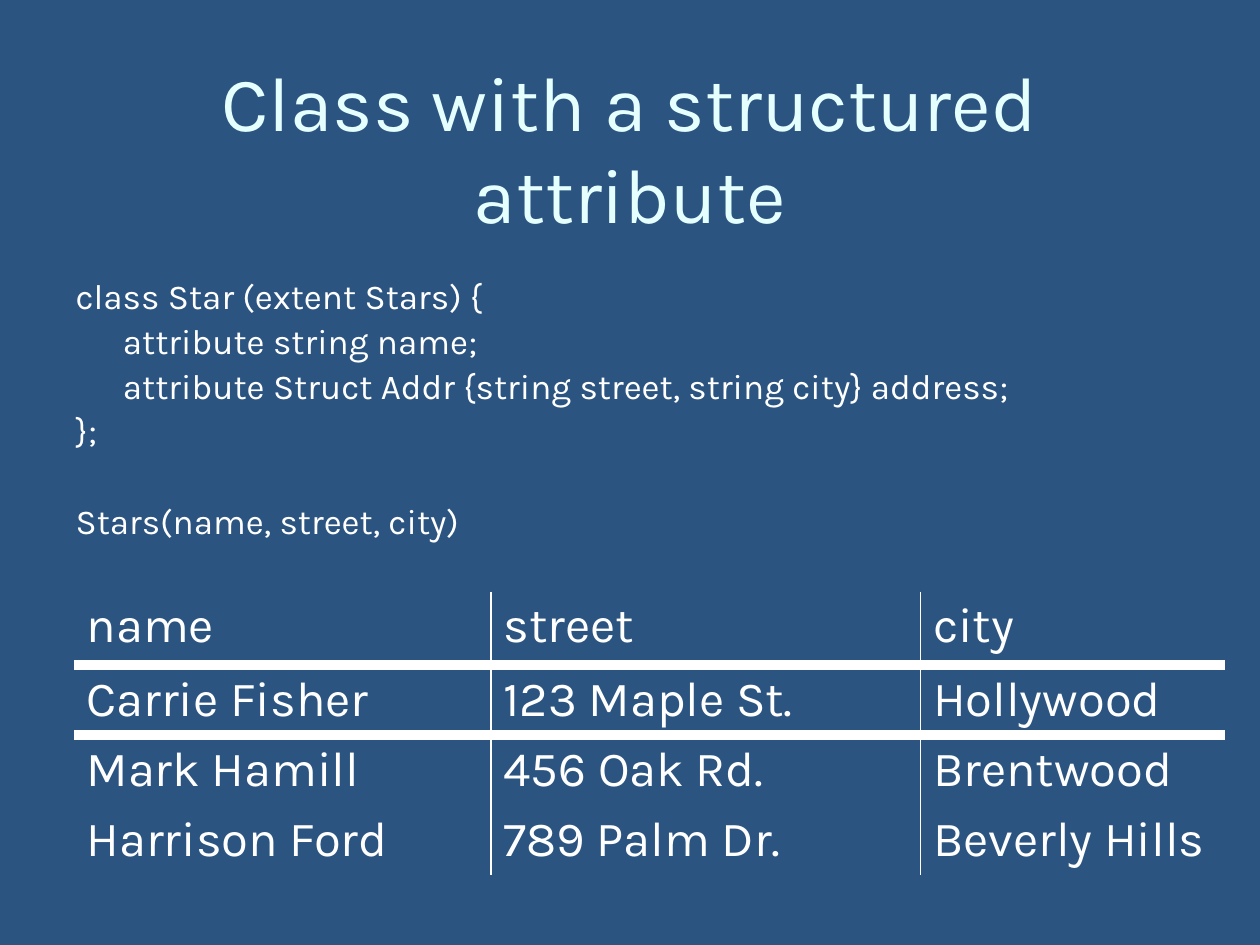
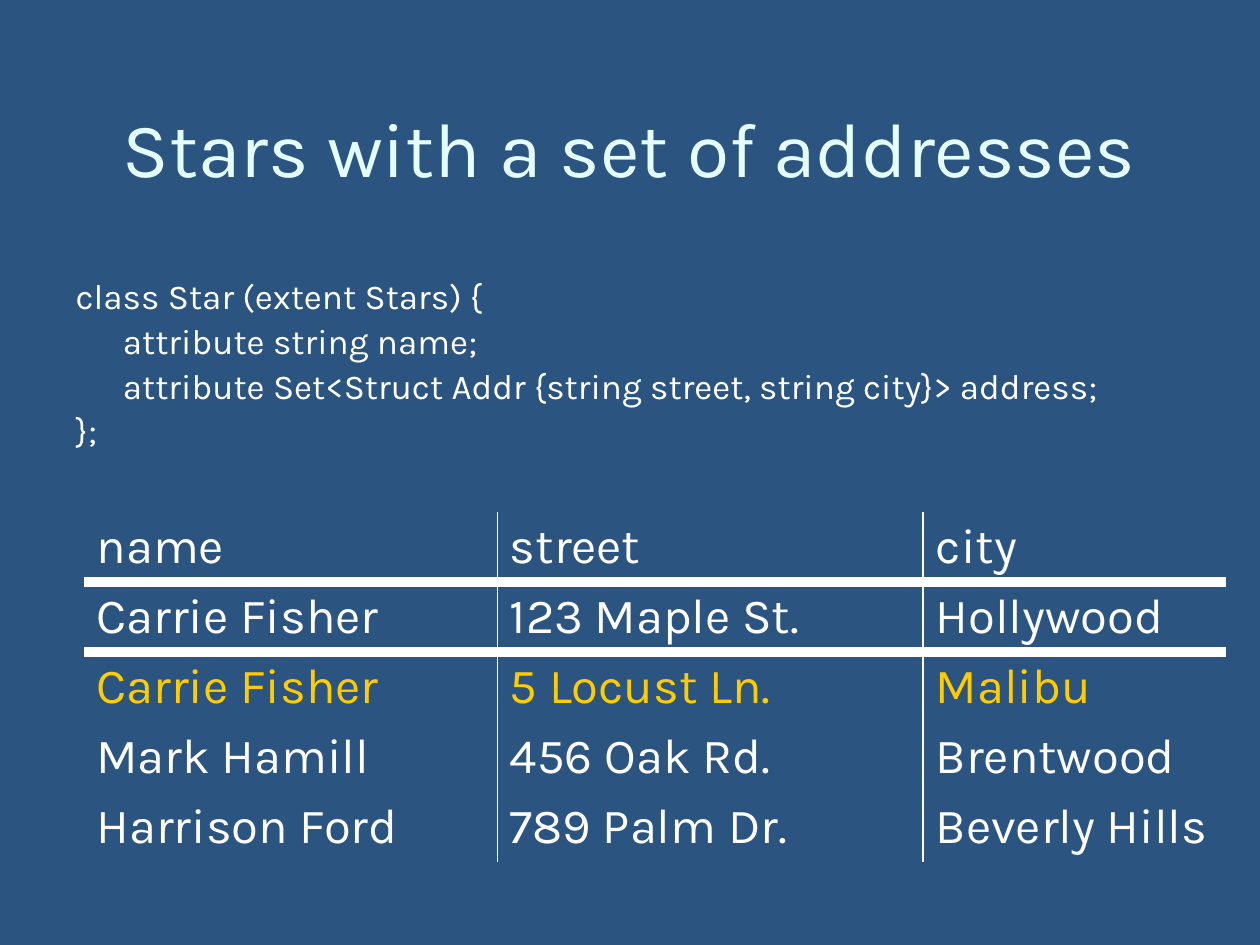
from dataclasses import dataclass
from typing import Any, Optional

from lxml import etree
from pptx import Presentation
from pptx.dml.color import RGBColor
from pptx.enum.text import MSO_ANCHOR, MSO_AUTO_SIZE, PP_ALIGN
from pptx.oxml.ns import qn
from pptx.util import Pt

CENTER = PP_ALIGN.CENTER
TOP, MIDDLE = MSO_ANCHOR.TOP, MSO_ANCHOR.MIDDLE
NO_FIT = MSO_AUTO_SIZE.NONE
NO_GRID_STYLE = "{2D5ABB26-0587-4C30-8999-92F81FD0307C}"


@dataclass(frozen=True)
class Theme:
    """Colours, font, type sizes and line widths of the deck."""
    font: str = "Karla"
    background: str = "2B5481"
    title: str = "E5FFFF"
    text: str = "FFFFFF"
    highlight: str = "FFCC00"
    title_size: float = 44
    code_size: float = 20
    table_size: float = 28
    thin: float = 1
    thick: float = 6
    indent: float = 27
    section_gap: float = 30.4
    row_height: float = 40


@dataclass(frozen=True)
class Box:
    """A place on the slide, in points."""
    left: float
    top: float
    width: float
    height: float


@dataclass(frozen=True)
class Code:
    """A line of a class definition."""
    text: str
    indented: bool = False
    new_section: bool = False


@dataclass(frozen=True)
class Relation:
    """A table of tuples, with one row optionally highlighted."""
    left: float
    top: float
    widths: tuple[float, ...]
    header_height: float
    rows: tuple[tuple[str, ...], ...]
    highlighted: Optional[int] = None


@dataclass(frozen=True)
class Page:
    """The content of one slide."""
    title: str
    code_box: Box
    code: tuple[Code, ...]
    relation: Relation


THEME = Theme()
TITLE_BOX = Box(36, 30, 648, 108)
HEADER = ("name", "street", "city")
FISHER = ("Carrie Fisher", "123 Maple St.", "Hollywood")
FISHER_SECOND = ("Carrie Fisher", "5 Locust Ln.", "Malibu")
HAMILL = ("Mark Hamill", "456 Oak Rd.", "Brentwood")
FORD = ("Harrison Ford", "789 Palm Dr.", "Beverly Hills")


def star_class(address_type: str) -> tuple[Code, ...]:
    """Return the Star class with the given type of address."""
    return (
        Code("class Star (extent Stars) {"),
        Code("attribute string name;", indented=True),
        Code(f"attribute {address_type} address;", indented=True),
        Code("};"),
    )


PAGES = (
    Page(
        "Class with a structured attribute",
        Box(36, 156, 670, 165),
        star_class("Struct Addr {string street, string city}")
        + (Code("Stars(name, street, city)", new_section=True),),
        Relation(42.3, 338, (238.3, 245.5, 174.2), 42,
                 (HEADER, FISHER, HAMILL, FORD)),
    ),
    Page(
        "Stars with a set of addresses",
        Box(36, 156, 684, 114),
        star_class("Set<Struct Addr {string street, string city}>"),
        Relation(48, 292.5, (236.2, 243.4, 172.8), THEME.row_height,
                 (HEADER, FISHER, FISHER_SECOND, HAMILL, FORD), highlighted=2),
    ),
)


def style_runs(p: Any, size: float, color: str) -> None:
    """Give all runs of a paragraph the deck font, a size and a colour."""
    for r in p.runs:
        r.font.name = THEME.font
        r.font.size = Pt(size)
        r.font.color.rgb = RGBColor.from_string(color)


def place(sp: Any, box: Box, anchor: MSO_ANCHOR) -> Any:
    """Move a placeholder and return its prepared text frame."""
    sp.left, sp.top = Pt(box.left), Pt(box.top)
    sp.width, sp.height = Pt(box.width), Pt(box.height)
    tf = sp.text_frame
    tf.word_wrap = True
    tf.auto_size = NO_FIT
    tf.vertical_anchor = anchor
    return tf


def add_title(s: Any, text: str) -> None:
    """Fill the title placeholder."""
    tf = place(s.shapes.title, TITLE_BOX, MIDDLE)
    tf.text = text
    p = tf.paragraphs[0]
    p.alignment = CENTER
    style_runs(p, THEME.title_size, THEME.title)


def add_code(s: Any, box: Box, lines: tuple[Code, ...]) -> None:
    """Fill the body placeholder with unbulleted code lines."""
    tf = place(s.placeholders[1], box, TOP)
    tf.text = "\n".join(line.text for line in lines)
    for p, line in zip(tf.paragraphs, lines):
        p.line_spacing = 0.9
        if line.new_section:
            p.space_before = Pt(THEME.section_gap)
        pPr = p._p.get_or_add_pPr()
        pPr.set("marL", str(Pt(THEME.indent if line.indented else 0)))
        pPr.set("indent", "0")
        etree.SubElement(pPr, qn("a:buNone"))
        style_runs(p, THEME.code_size, THEME.text)


def add_border(cell: Any, side: str, width: float) -> None:
    """Draw one side (L, R, T or B) of a table cell."""
    tcPr = cell._tc.get_or_add_tcPr()
    ln = etree.SubElement(tcPr, qn(f"a:ln{side}"), w=str(Pt(width)))
    fill = etree.SubElement(ln, qn("a:solidFill"))
    etree.SubElement(fill, qn("a:srgbClr"), val=THEME.text)


def add_relation(s: Any, relation: Relation) -> None:
    """Add a table with a thick header rule and thin column rules."""
    rows, widths = relation.rows, relation.widths
    heights = [relation.header_height] + [THEME.row_height] * (len(rows) - 1)
    frame = s.shapes.add_table(
        len(rows), len(widths), Pt(relation.left), Pt(relation.top),
        Pt(sum(widths)), Pt(sum(heights)))
    frame._element.xpath(".//a:tableStyleId")[0].text = NO_GRID_STYLE
    table = frame.table
    table.horz_banding = False
    for column, width in zip(table.columns, widths):
        column.width = Pt(width)
    for i, (values, height) in enumerate(zip(rows, heights)):
        table.rows[i].height = Pt(height)
        color = THEME.highlight if i == relation.highlighted else THEME.text
        for j, value in enumerate(values):
            cell = table.cell(i, j)
            cell.text = value
            style_runs(cell.text_frame.paragraphs[0], THEME.table_size, color)
            if j > 0:
                add_border(cell, "L", THEME.thin)
            if j < len(widths) - 1:
                add_border(cell, "R", THEME.thin)
            if i == 1:
                add_border(cell, "T", THEME.thick)
            if i == 0:
                add_border(cell, "B", THEME.thick)
            cell.fill.background()


def add_page(prs: Any, page: Page) -> None:
    """Add one slide with title, code and table."""
    s = prs.slides.add_slide(prs.slide_layouts[1])
    add_title(s, page.title)
    add_code(s, page.code_box, page.code)
    add_relation(s, page.relation)


def main() -> None:
    """Build and save the deck."""
    prs = Presentation()
    prs.slide_width, prs.slide_height = Pt(720), Pt(540)
    fill = prs.slide_master.background.fill
    fill.solid()
    fill.fore_color.rgb = RGBColor.from_string(THEME.background)
    for page in PAGES:
        add_page(prs, page)
    prs.save("out.pptx")


main()
